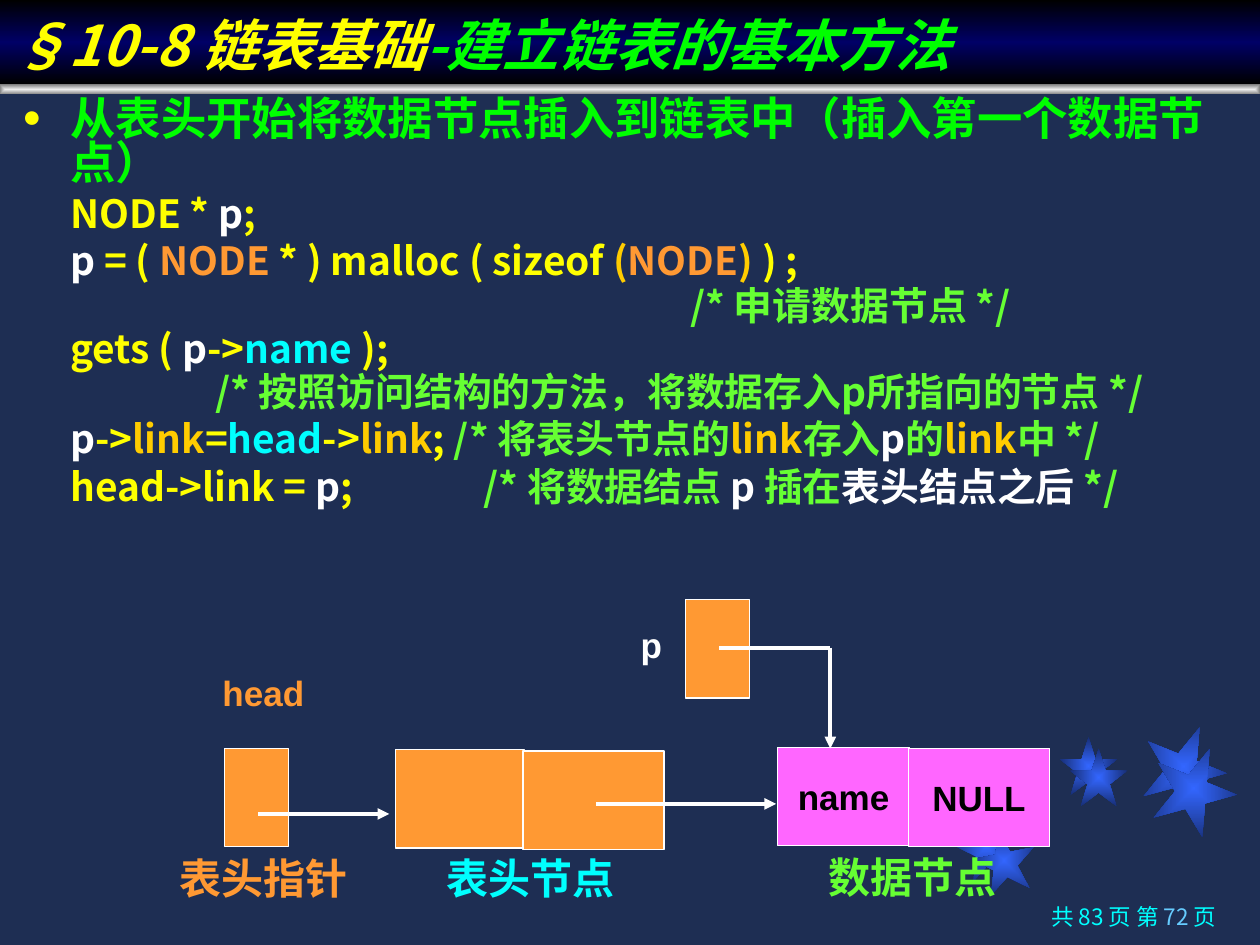
from lxml import etree
from pptx import Presentation
from pptx import util as u
from pptx.dml.color import RGBColor
from pptx.enum import shapes, text
from pptx.oxml import ns

INK = {
    "navy": "1E2E53", "yellow": "FFFF00", "white": "FFFFFF", "orange": "FF9933",
    "gold": "FFCC00", "green": "66FF33", "lime": "00FF00", "cyan": "00FFFF",
    "sky": "66CCFF", "pink": "FF66FF", "black": "000000", "deep": "000066",
    "blue": "3366FF", "dusk": "182F76", "pale": "EDEDED", "gray": "808080",
}
SANS = "Noto Sans CJK SC"
STARS = [
    (7.58, 6.47, 0.5, 349), (8.41, 5.85, 0.46, 0), (9.06, 5.75, 0.67, 22),
    (7.72, 6.58, 0.5, 349), (8.49, 5.94, 0.46, 0), (9.14, 5.92, 0.67, 22),
]
HEAD = [("从表头开始将数据节点插入到链表中（插入第一个数据节点）", "lime")]
CODE = [
    (0.38, 0.8, [("NODE * ", "yellow"), ("p", "white"), (";", "yellow")]),
    (0.38, 0.8, [("p", "white"), (" = ( ", "yellow"), ("NODE", "orange"),
                 (" * ) malloc ( sizeof ", "yellow"), ("(", "gold"),
                 ("NODE", "orange"), (")", "gold"), (" ) ;", "yellow")]),
    (5.3, 0.7, [("/* 申请数据节点 */", "green")]),
    (0.38, 0.7, [("gets ( ", "yellow"), ("p", "white"), ("->", "yellow"),
                 ("name", "cyan"), (" );", "yellow")]),
    (1.53, 0.7, [("/* 按照访问结构的方法，将数据存入p所指向的节点 */", "green")]),
    (0.38, 0.8, [("p", "white"), ("->", "yellow"), ("link", "gold"), ("=", "yellow"),
                 ("head", "cyan"), ("->", "yellow"), ("link", "gold"), ("; ", "yellow"),
                 ("/* 将表头节点的", "green"), ("link", "gold"), ("存入", "green"),
                 ("p", "white"), ("的", "green"), ("link", "gold"), ("中 */", "green")]),
    (0.38, 0.8, [("head->link = ", "yellow"), ("p", "white"), (";\t", "yellow"),
                 ("/* 将数据结点 ", "green"), ("p ", "white"), ("插在", "green"),
                 ("表头结点之后 ", "white"), ("*/", "green")]),
]


def rgb(name):
    """Return the named colour."""
    return RGBColor.from_string(INK[name])


def sub(node, tag, **attrs):
    """Add a child element in the drawing namespace."""
    return etree.SubElement(node, ns.qn("a:" + tag), attrs)


def write(para, runs, size, font=SANS, bold=True, italic=False, align=None,
          space=None, before=None):
    """Fill a paragraph with coloured runs in one format."""
    para.alignment = align
    para.line_spacing = space
    if before is not None:
        para.space_before = u.Pt(before)
    for words, ink in runs:
        run = para.add_run()
        run.text = words
        run.font.size = u.Pt(size)
        run.font.bold = bold
        run.font.italic = italic
        run.font.color.rgb = rgb(ink)
        run.font.name = font
        sub(run._r.get_or_add_rPr(), "ea", typeface=SANS)


def blend(shape, inks, angle=None):
    """Fill a shape with a gradient, linear if an angle is given."""
    grad = sub(shape._element.spPr, "gradFill", rotWithShape="1")
    stops = sub(grad, "gsLst")
    for i, ink in enumerate(inks):
        stop = sub(stops, "gs", pos=str(100000 * i // (len(inks) - 1)))
        sub(stop, "srgbClr", val=INK[ink])
    if angle is None:
        half = dict.fromkeys("ltrb", "50000")
        sub(sub(grad, "path", path="rect"), "fillToRect", **half)
    else:
        sub(grad, "lin", ang=str(angle * 60000), scaled="0")


def decor(slide, kind, x, y, w, h, inks, turn=0):
    """Add a gradient ornament without an outline."""
    shape = slide.shapes.add_shape(kind, *map(u.Inches, (x, y, w, h)))
    blend(shape, inks)
    shape.line.fill.background()
    shape.shadow.inherit = False
    shape.rotation = turn


def cell(slide, x, y, w, ink="orange", words=None):
    """Add one cell of a list node."""
    shape = slide.shapes.add_shape(shapes.MSO_SHAPE.RECTANGLE,
                                   *map(u.Inches, (x, y, w, 0.78)))
    shape.fill.solid()
    shape.fill.fore_color.rgb = rgb(ink)
    shape.line.color.rgb = rgb("white")
    shape.line.width = u.Pt(0.75)
    shape.shadow.inherit = False
    if words:
        center(shape.text_frame, words, "black", 20)


def center(frame, words, ink, size):
    """Put one unwrapped line in the middle of a frame."""
    frame.word_wrap = False
    frame.margin_left = frame.margin_right = 0
    frame.vertical_anchor = text.MSO_ANCHOR.MIDDLE
    write(frame.paragraphs[0], [(words, ink)], size, font="Arial",
          align=text.PP_ALIGN.CENTER)


def label(slide, words, x, y, ink, size=24, w=1.48):
    """Add a caption for a part of the diagram."""
    box = slide.shapes.add_textbox(*map(u.Inches, (x, y, w, 0.39)))
    center(box.text_frame, words, ink, size)


def link(slide, x1, y1, x2, y2, arrow=True):
    """Add a white pointer line."""
    line = slide.shapes.add_connector(shapes.MSO_CONNECTOR.STRAIGHT,
                                      *map(u.Inches, (x1, y1, x2, y2)))
    line.line.color.rgb = rgb("white")
    line.line.width = u.Pt(2.25)
    if arrow:
        sub(line.line._get_or_add_ln(), "tailEnd", type="triangle")
    sub(line._element.spPr, "effectLst")


def title(slide):
    """Format the title bar."""
    bar = slide.shapes.title
    bar.left, bar.top, bar.width, bar.height = map(u.Inches, (0, 0, 10, 0.67))
    blend(bar, ["black", "deep", "black"], 90)
    frame = bar.text_frame
    frame.auto_size = text.MSO_AUTO_SIZE.NONE
    frame.vertical_anchor = text.MSO_ANCHOR.BOTTOM
    write(frame.paragraphs[0], [("§10-8 链表基础", "yellow"), ("-建立链表的基本方法", "lime")],
          32, italic=True, align=text.PP_ALIGN.LEFT)


def body(slide):
    """Add the bulleted heading and the code lines."""
    frame = slide.shapes.add_textbox(*map(u.Inches, (0.08, 0.75, 9.92, 4))).text_frame
    frame.word_wrap = True
    para = frame.paragraphs[0]
    props = para._p.get_or_add_pPr()
    props.set("marL", str(u.Inches(0.38)))
    props.set("indent", str(u.Inches(-0.38)))
    sub(sub(props, "buClr"), "srgbClr", val=INK["yellow"])
    sub(props, "buSzPct", val="70000")
    sub(props, "buFont", typeface="Arial")
    sub(props, "buChar", char="●")
    write(para, HEAD, 25.9, space=0.8)
    for left, space, runs in CODE:
        para = frame.add_paragraph()
        props = para._p.get_or_add_pPr()
        props.set("marL", str(u.Inches(left)))
        props.set("indent", "0")
        props.set("defTabSz", str(u.Inches(3.28)))
        write(para, runs, 22.2, space=space, before=6)


def diagram(slide):
    """Draw the list nodes, their captions and pointers."""
    cell(slide, 1.78, 5.94, 0.51)
    cell(slide, 3.14, 5.95, 1.02)
    cell(slide, 4.15, 5.96, 1.12)
    cell(slide, 5.44, 4.76, 0.51)
    cell(slide, 6.17, 5.93, 1.05, "pink", "name")
    cell(slide, 7.21, 5.94, 1.12, "pink", "NULL")
    label(slide, "表头指针", 1.35, 6.77, "orange")
    label(slide, "表头节点", 3.47, 6.77, "cyan")
    label(slide, "数据节点", 6.5, 6.76, "green")
    label(slide, "head", 1.35, 5.3, "orange", 20)
    label(slide, "p", 4.88, 4.92, "white", 20, 0.58)
    link(slide, 2.05, 6.46, 3.09, 6.46)
    link(slide, 4.73, 6.38, 6.16, 6.38)
    link(slide, 5.71, 5.14, 6.59, 5.14, arrow=False)
    link(slide, 6.59, 5.14, 6.59, 5.94)


def footer(slide):
    """Add the page count."""
    box = slide.shapes.add_textbox(*map(u.Inches, (7.12, 7.14, 2.63, 0.36)))
    box.text_frame.word_wrap = True
    write(box.text_frame.paragraphs[0],
          [("共 83 页 第 ", "cyan"), ("72 ", "sky"), ("页", "cyan")],
          12.9, bold=False, align=text.PP_ALIGN.RIGHT, space=0.9)


def main():
    """Build and save the slide."""
    deck = Presentation()
    deck.slide_width, deck.slide_height = u.Inches(10), u.Inches(7.5)
    slide = deck.slides.add_slide(deck.slide_layouts[5])
    slide.background.fill.solid()
    slide.background.fill.fore_color.rgb = rgb("navy")
    for x, y, size, turn in STARS:
        decor(slide, shapes.MSO_SHAPE.STAR_5_POINT, x, y, size, size,
              ["blue", "dusk"], turn)
    decor(slide, shapes.MSO_SHAPE.RECTANGLE, 0, 0.67, 10, 0.08, ["pale", "gray"])
    title(slide)
    body(slide)
    diagram(slide)
    footer(slide)
    deck.save("out.pptx")


if __name__ == "__main__":
    main()
